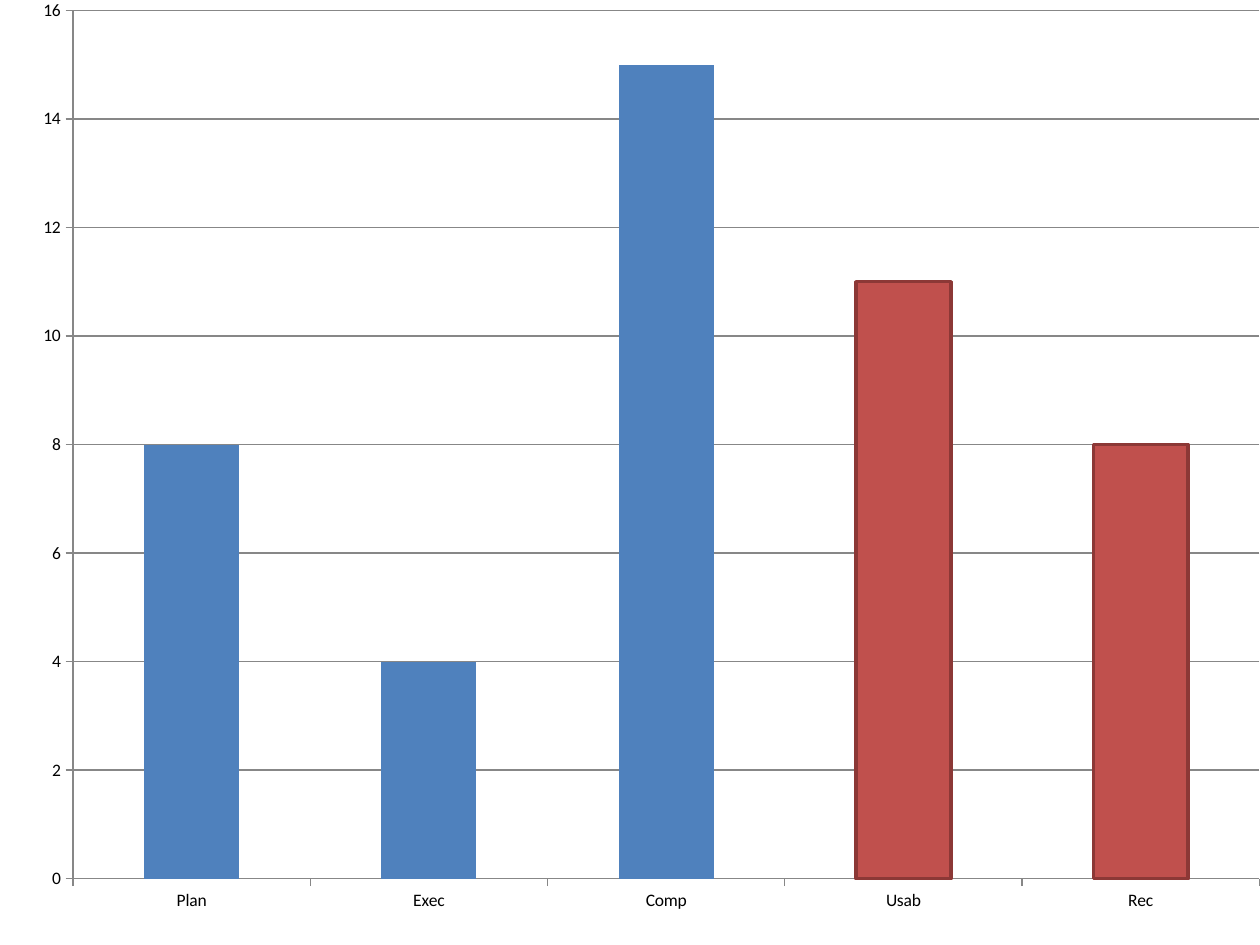
from lxml import etree
from pptx import Presentation
from pptx.chart.data import CategoryChartData
from pptx.dml.color import RGBColor
from pptx.enum.chart import XL_CHART_TYPE, XL_TICK_MARK
from pptx.oxml.ns import qn
from pptx.util import Inches, Pt

COLUMN = XL_CHART_TYPE.COLUMN_CLUSTERED
OUTSIDE = XL_TICK_MARK.OUTSIDE
COLORS = {
    "text": "000000",
    "axis": "878787",
    "bar": "4F81BD",
    "accent": "C0504D",
    "accent_line": "8C3836",
}
RGB = {name: RGBColor.from_string(value) for name, value in COLORS.items()}
VALUES = {"Plan": 8, "Exec": 4, "Comp": 15, "Usab": 11, "Rec": 8}
ACCENTED = ("Usab", "Rec")

prs = Presentation()
prs.slide_width, prs.slide_height = Inches(10), Inches(7.5)
s = prs.slides.add_slide(prs.slide_layouts[6])

data = CategoryChartData()
data.categories = list(VALUES)
data.add_series("Series 1", list(VALUES.values()))
chart = s.shapes.add_chart(
    COLUMN, Inches(0), Inches(0), prs.slide_width, prs.slide_height, data
).chart
chart.has_legend = False
chart.has_title = False
chart.font.name = "Calibri"
chart.font.size = Pt(10)
chart.font.color.rgb = RGB["text"]

# Axes
value_axis = chart.value_axis
value_axis.minimum_scale, value_axis.maximum_scale = 0, 16
value_axis.major_unit = 2
value_axis.has_major_gridlines = True
for axis in (chart.category_axis, value_axis):
    axis.major_tick_mark = OUTSIDE
for lined in (chart.category_axis, value_axis, value_axis.major_gridlines):
    lined.format.line.color.rgb = RGB["axis"]
    lined.format.line.width = Pt(0.75)

# Columns
plot = chart.plots[0]
plot.gap_width = 150
plot.vary_by_categories = False
series = plot.series[0]
series.format.fill.solid()
series.format.fill.fore_color.rgb = RGB["bar"]
for i, category in enumerate(VALUES):
    if category in ACCENTED:
        fmt = series.points[i].format
        fmt.fill.solid()
        fmt.fill.fore_color.rgb = RGB["accent"]
        fmt.line.color.rgb = RGB["accent_line"]
        fmt.line.width = Pt(2)

# Plot area as fractions of the chart; two decimals are too coarse at this size
plot_area = chart._chartSpace.chart.plotArea
for old in plot_area.findall(qn("c:layout")):
    plot_area.remove(old)
layout = etree.Element(qn("c:layout"))
manual = etree.SubElement(layout, qn("c:manualLayout"))
for tag, value in (
    ("layoutTarget", "inner"), ("xMode", "edge"), ("yMode", "edge"),
    ("x", 0.058), ("y", 0.011), ("w", 0.942), ("h", 0.919),
):
    etree.SubElement(manual, qn(f"c:{tag}")).set("val", str(value))
plot_area.insert(0, layout)

prs.save("out.pptx")
